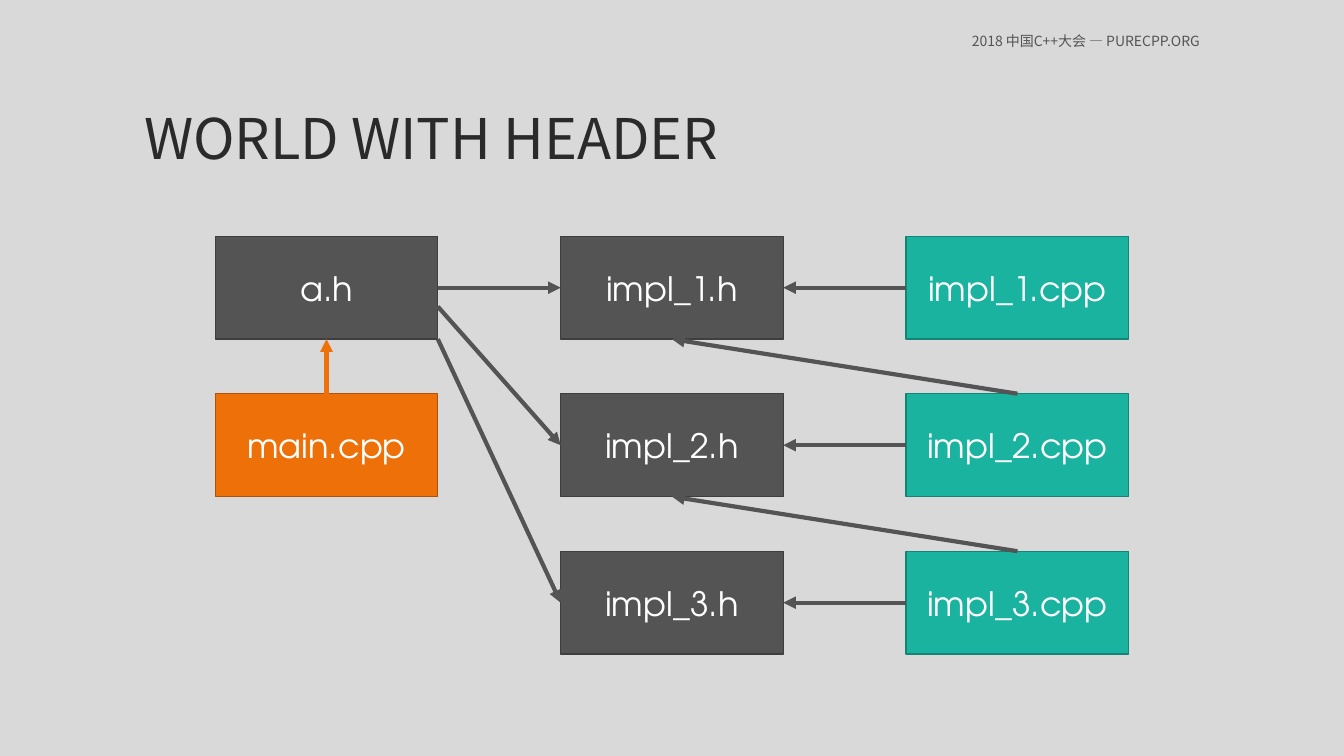
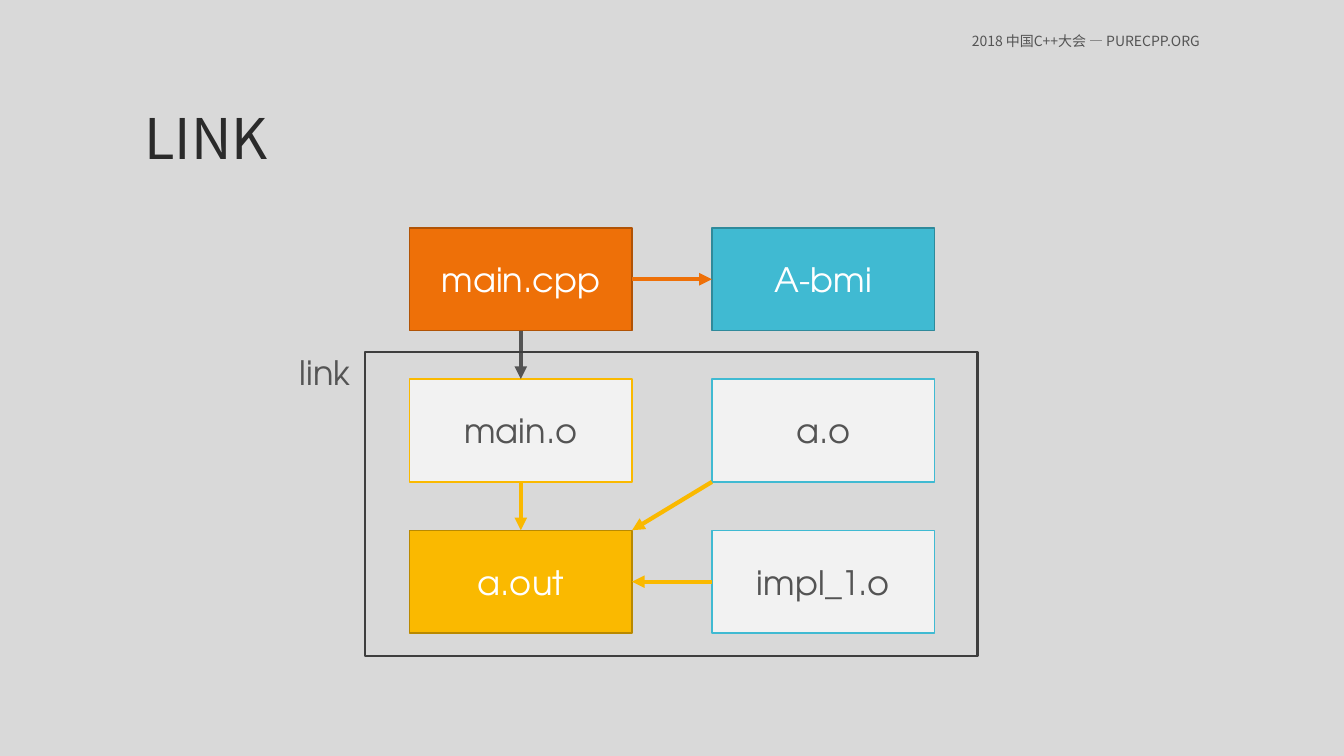
from lxml.etree import SubElement
from pptx import Presentation
from pptx.dml.color import RGBColor
from pptx.enum.shapes import MSO_CONNECTOR, MSO_SHAPE
from pptx.enum.text import MSO_ANCHOR, PP_ALIGN
from pptx.oxml.ns import qn
from pptx.util import Pt

PX = 9525
WIDE, HIGH = 212, 98
SANS, ROUND = "Noto Sans CJK SC", "TeX Gyre Adventor"
BACK, INK, GREY, EDGE = "D9D9D9", "2A2A2A", "545454", "3E3E3E"
WHITE, PALE = "FFFFFF", "F2F2F2"
ORANGE, GOLD, BLUE = "EE7008", "FAB900", "40BAD2"
MAIN = (ORANGE, "B05306", WHITE)
HEAD = (GREY, EDGE, WHITE)
IMPL = ("1AB39F", "138476", WHITE)
BMI = (BLUE, "2F8A9B", WHITE)
OUT = (GOLD, "B98900", WHITE)
TOP, LEFT, BOTTOM, RIGHT = range(4)


def color(code):
    return RGBColor.from_string(code)


def write(frame, words, size, code, face, anchor, align, gap=1.0):
    frame.vertical_anchor = anchor
    para = frame.paragraphs[0]
    para.alignment = align
    para.line_spacing = gap
    run = para.add_run()
    run.text = words
    run.font.size = Pt(size)
    run.font.name = face
    run.font.color.rgb = color(code)
    SubElement(run.font._element, qn("a:ea")).set("typeface", face)


pages = [
    (
        "WORLD WITH HEADER", (205, 225), (329, 150),
        [
            ("main.cpp", 0, 1, MAIN),
            ("a.h", 0, 0, HEAD),
            *[(f"impl_{n + 1}.h", 1, n, HEAD) for n in range(3)],
            *[(f"impl_{n + 1}.cpp", 2, n, IMPL) for n in range(3)],
        ],
        [
            (ORANGE, ("main.cpp", TOP), ("a.h", BOTTOM)),
            *[(GREY, (f"impl_{n}.cpp", LEFT), (f"impl_{n}.h", RIGHT)) for n in (1, 2, 3)],
            (GREY, ("a.h", RIGHT), ("impl_1.h", LEFT)),
            (GREY, (417, 292), ("impl_2.h", LEFT)),
            (GREY, (417, 323), ("impl_3.h", LEFT)),
            *[(GREY, (f"impl_{n + 1}.cpp", TOP), (f"impl_{n}.h", BOTTOM)) for n in (1, 2)],
        ],
    ),
    (
        "LINK", (390, 217), (288, 144),
        [
            ("main.cpp", 0, 0, MAIN),
            ("A-bmi", 1, 0, BMI),
            ("main.o", 0, 1, (PALE, GOLD, GREY)),
            ("a.o", 1, 1, (PALE, BLUE, GREY)),
            ("a.out", 0, 2, OUT),
            ("impl_1.o", 1, 2, (PALE, BLUE, GREY)),
        ],
        [
            (GREY, ("main.cpp", BOTTOM), ("main.o", TOP)),
            (ORANGE, ("main.cpp", RIGHT), ("A-bmi", LEFT)),
            (GOLD, ("main.o", BOTTOM), ("a.out", TOP)),
            (GOLD, (678, 459), (602, 505)),
            (GOLD, ("impl_1.o", LEFT), ("a.out", RIGHT)),
        ],
    ),
]

deck = Presentation()
deck.slide_width, deck.slide_height = 1280 * PX, 720 * PX

for title, (left, top), (across, down), boxes, arrows in pages:
    page = deck.slides.add_slide(deck.slide_layouts[6])
    page.background.fill.solid()
    page.background.fill.fore_color.rgb = color(BACK)

    nodes = {}
    for name, col, row, (fill, edge, ink) in boxes:
        x, y = left + col * across, top + row * down
        box = page.shapes.add_shape(MSO_SHAPE.RECTANGLE, x * PX, y * PX, WIDE * PX, HIGH * PX)
        box.shadow.inherit = False
        box.fill.solid()
        box.fill.fore_color.rgb = color(fill)
        box.line.color.rgb = color(edge)
        box.line.width = Pt(1)
        write(box.text_frame, name, 24, ink, ROUND, MSO_ANCHOR.MIDDLE, PP_ALIGN.CENTER)
        nodes[name] = box

    for code, start, end in arrows:
        line = page.shapes.add_connector(MSO_CONNECTOR.STRAIGHT, 0, 0, 0, 0)
        if start[0] in nodes:
            line.begin_connect(nodes[start[0]], start[1])
        else:
            line.begin_x, line.begin_y = start[0] * PX, start[1] * PX
        if end[0] in nodes:
            line.end_connect(nodes[end[0]], end[1])
        else:
            line.end_x, line.end_y = end[0] * PX, end[1] * PX
        line.line.color.rgb = color(code)
        line.line.width = Pt(3)
        SubElement(line.line._get_or_add_ln(), qn("a:tailEnd")).set("type", "triangle")
        SubElement(line._element.spPr, qn("a:effectLst"))

    head = page.shapes.add_textbox(128 * PX, 29 * PX, 1024 * PX, 139 * PX).text_frame
    head.word_wrap = True
    write(head, title, 40, INK, SANS, MSO_ANCHOR.BOTTOM, PP_ALIGN.LEFT, 0.9)
    note = page.shapes.add_textbox(455 * PX, 29 * PX, 697 * PX, 19 * PX).text_frame
    note.word_wrap = True
    write(note, "2018 中国C++大会 — PURECPP.ORG", 10, GREY, SANS, MSO_ANCHOR.MIDDLE, PP_ALIGN.RIGHT)

frame = page.shapes.add_shape(MSO_SHAPE.RECTANGLE, 348 * PX, 335 * PX, 583 * PX, 290 * PX)
frame.shadow.inherit = False
frame.fill.background()
frame.line.color.rgb = color(EDGE)
frame.line.width = Pt(1.5)
label = page.shapes.add_textbox(276 * PX, 335 * PX, 68 * PX, 44 * PX).text_frame
label.word_wrap = False
write(label, "link", 24, GREY, ROUND, MSO_ANCHOR.TOP, PP_ALIGN.LEFT, 0.9)

deck.save("out.pptx")
